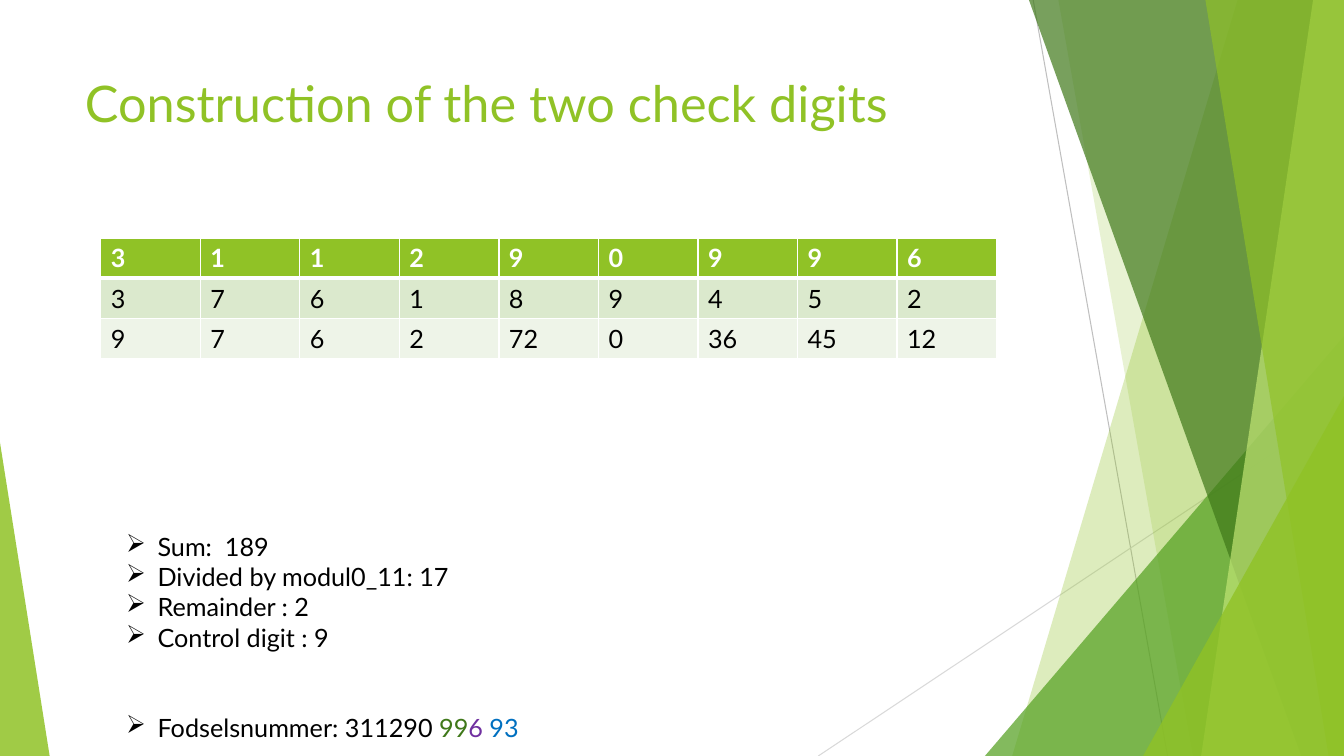
from dataclasses import dataclass

from lxml.etree import SubElement
from pptx import Presentation
from pptx.dml.color import RGBColor
from pptx.enum.shapes import MSO_CONNECTOR, MSO_SHAPE
from pptx.enum.text import MSO_ANCHOR, PP_ALIGN
from pptx.oxml.ns import qn
from pptx.util import Pt


@dataclass(frozen=True)
class Theme:
    font: str = "Lato"
    title_size: float = 36
    body_size: float = 18
    white: str = "FFFFFF"
    black: str = "000000"
    lime: str = "90C226"
    pale_lime: str = "C0E474"
    green: str = "54A021"
    forest: str = "3F7819"
    purple: str = "7030A0"
    blue: str = "0070C0"
    grey: str = "BFBFBF"
    light_grey: str = "D9D9D9"
    band_dark: str = "DBE9CD"
    band_light: str = "EEF4E8"


class SlideBuilder:
    def __init__(self, prs, theme):
        self.theme = theme
        self.slide = prs.slides.add_slide(prs.slide_layouts[5])

    def style(self, r, size, color, bold=False):
        r.font.name = self.theme.font
        r.font.size = Pt(size)
        r.font.bold = bold
        r.font.color.rgb = RGBColor.from_string(color)

    def paint(self, sp, color, opacity):
        sp.shadow.inherit = False
        sp.fill.solid()
        sp.fill.fore_color.rgb = RGBColor.from_string(color)
        sp.line.fill.background()
        clr = sp._element.spPr.find(qn("a:solidFill")).find(qn("a:srgbClr"))
        SubElement(clr, qn("a:alpha"), val=str(opacity * 1000))

    def line(self, start, end, color):
        cx = self.slide.shapes.add_connector(
            MSO_CONNECTOR.STRAIGHT, *(Pt(v) for v in start + end))
        cx.line.width = Pt(0.75)
        cx.line.color.rgb = RGBColor.from_string(color)
        SubElement(cx._element.spPr, qn("a:effectLst"))

    def band(self, top_x, bottom_x, color, opacity):
        fb = self.slide.shapes.build_freeform(Pt(top_x), 0)
        corners = [(WIDTH, 0), (WIDTH, HEIGHT), (bottom_x, HEIGHT)]
        fb.add_line_segments([(Pt(x), Pt(y)) for x, y in corners], close=True)
        self.paint(fb.convert_to_shape(), color, opacity)

    def triangle(self, left, top, width, apex, color, opacity):
        sp = self.slide.shapes.add_shape(
            MSO_SHAPE.ISOSCELES_TRIANGLE,
            Pt(left), Pt(top), Pt(width), Pt(HEIGHT - top))
        sp.adjustments[0] = apex
        self.paint(sp, color, opacity)

    def title(self, text, left, top, width, height):
        sp = self.slide.shapes.title
        sp.left, sp.top, sp.width, sp.height = (
            Pt(v) for v in (left, top, width, height))
        tf = sp.text_frame
        tf.text = text
        tf.word_wrap = True
        tf.vertical_anchor = MSO_ANCHOR.TOP
        p = tf.paragraphs[0]
        p.alignment = PP_ALIGN.LEFT
        self.style(p.runs[0], self.theme.title_size, self.theme.lime)

    def cell_border(self, cell, side, width):
        ln = SubElement(cell._tc.get_or_add_tcPr(), qn(f"a:ln{side}"),
                        w=str(Pt(width)))
        fill = SubElement(ln, qn("a:solidFill"))
        SubElement(fill, qn("a:srgbClr"), val=self.theme.white)

    def table(self, rows, left, top, width, row_height):
        t = self.theme
        tbl = self.slide.shapes.add_table(
            len(rows), len(rows[0]), Pt(left), Pt(top),
            Pt(width), Pt(row_height * len(rows))).table
        fills = [t.lime, t.band_dark, t.band_light]
        for i, (values, fill) in enumerate(zip(rows, fills)):
            tbl.rows[i].height = Pt(row_height)
            for j, value in enumerate(values):
                cell = tbl.cell(i, j)
                cell.text = str(value)
                self.style(cell.text_frame.paragraphs[0].runs[0], t.body_size,
                           t.black if i else t.white, bold=i == 0)
                for side in "LRTB":
                    header_edge = (i, side) in ((0, "B"), (1, "T"))
                    self.cell_border(cell, side, 3 if header_edge else 1)
                cell.fill.solid()
                cell.fill.fore_color.rgb = RGBColor.from_string(fill)

    def bullets(self, items, left, top, width, height):
        tf = self.slide.shapes.add_textbox(
            Pt(left), Pt(top), Pt(width), Pt(height)).text_frame
        tf.word_wrap = True
        for i, (gap, runs) in enumerate(items):
            p = tf.add_paragraph() if i else tf.paragraphs[0]
            p.space_before = Pt(gap)
            pPr = p._p.get_or_add_pPr()
            pPr.set("marL", str(Pt(22.5)))
            pPr.set("indent", str(-Pt(22.5)))
            SubElement(pPr, qn("a:buChar"), char="➢")
            for text, color in runs:
                r = p.add_run()
                r.text = text
                self.style(r, self.theme.body_size, color)


WIDTH, HEIGHT = 960, 540
theme = Theme()
prs = Presentation()
prs.slide_width, prs.slide_height = Pt(WIDTH), Pt(HEIGHT)
s = SlideBuilder(prs, theme)

s.line((738, 0), (834, HEIGHT), theme.grey)
s.line((WIDTH, 290), (584.5, HEIGHT), theme.light_grey)
s.band(884, 723, theme.lime, 30)
s.band(756, 852, theme.lime, 20)
s.triangle(703.5, 240, 256.5, 1, theme.green, 72)
s.band(735, 929.5, theme.forest, 70)
s.band(938, 858, theme.pale_lime, 70)
s.band(861, 949, theme.lime, 65)
s.triangle(816.5, 283, 143.5, 1, theme.lime, 80)
s.triangle(0, 316, 35.5, 0, theme.lime, 85)

s.title("Construction of the two check digits", 53.5, 48, 677, 104)

digits = [3, 1, 1, 2, 9, 0, 9, 9, 6]
weights = [3, 7, 6, 1, 8, 9, 4, 5, 2]
products = [d * w for d, w in zip(digits, weights)]
s.table([digits, weights, products], 72, 170, 640, 28.8)

steps = ["Sum:  189", "Divided by modul0_11: 17", "Remainder : 2",
         "Control digit : 9"]
number = [("Fodselsnummer: 311290 ", theme.black), ("99", theme.forest),
          ("6 ", theme.purple), ("93", theme.blue)]
s.bullets([(0, [(step, theme.black)]) for step in steps] + [(43.2, number)],
          83, 376, 628.5, 164)

prs.save("out.pptx")
